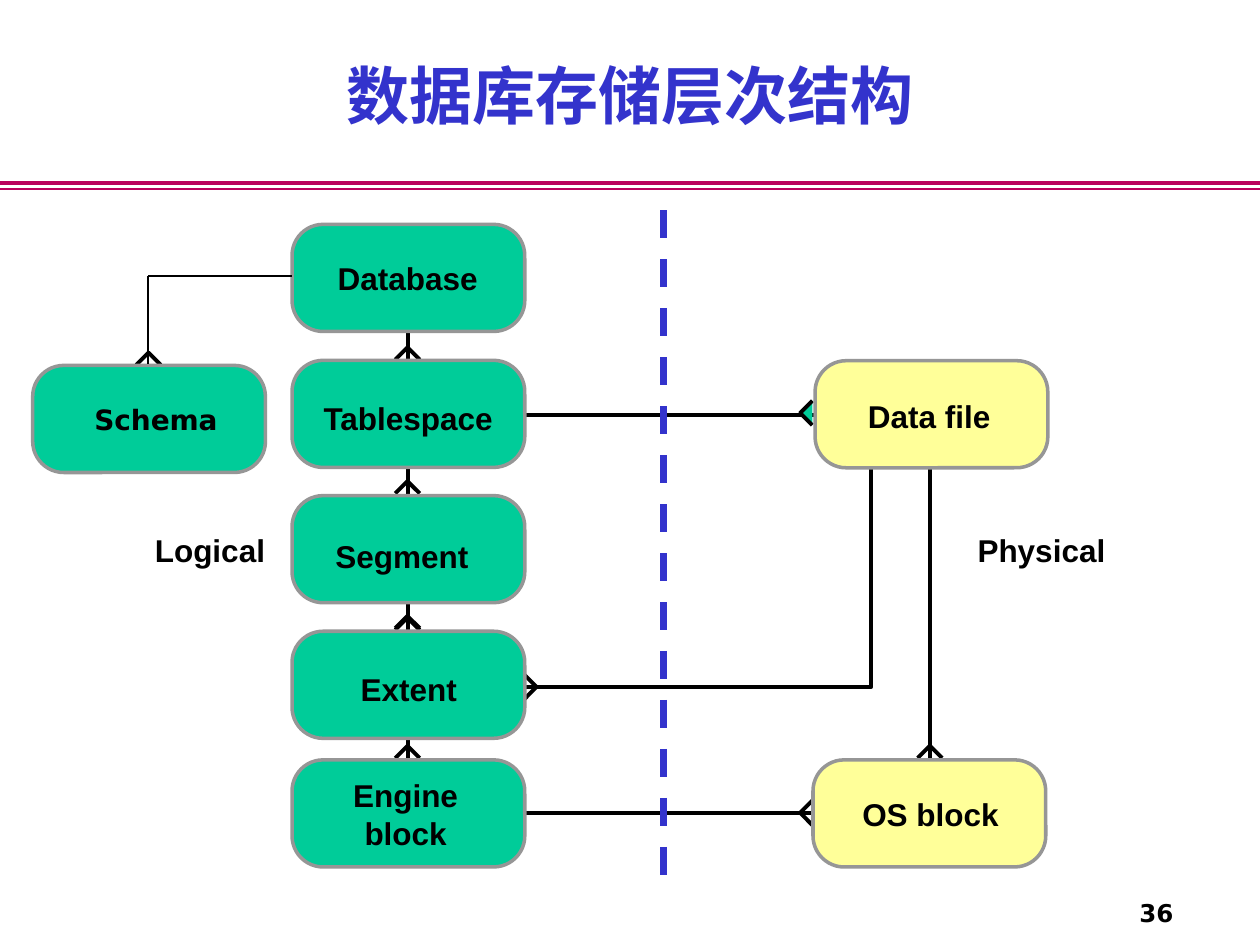
"""Build a slide on the logical and physical layers of database storage."""
from dataclasses import dataclass
from typing import Optional

from lxml import etree
from pptx import Presentation
from pptx.dml.color import RGBColor
from pptx.enum.dml import MSO_LINE
from pptx.enum.shapes import MSO_CONNECTOR, MSO_SHAPE
from pptx.enum.text import MSO_ANCHOR, PP_ALIGN
from pptx.oxml.ns import qn
from pptx.util import Pt

STRAIGHT = MSO_CONNECTOR.STRAIGHT
ROUNDED = MSO_SHAPE.ROUNDED_RECTANGLE
DASH = MSO_LINE.DASH
TOP, MIDDLE = MSO_ANCHOR.TOP, MSO_ANCHOR.MIDDLE
LEFT, CENTER, RIGHT = PP_ALIGN.LEFT, PP_ALIGN.CENTER, PP_ALIGN.RIGHT


@dataclass(frozen=True)
class Theme:
    """Colours, fonts, type sizes and line widths."""
    ink: str = "000000"
    accent: str = "3333CC"
    rule: str = "BA005D"
    logical: str = "00CC99"
    physical: str = "FFFF99"
    border: str = "969696"
    title_font: str = "Times New Roman"
    label_font: str = "Arial"
    plain_font: str = "DejaVu Sans"
    title_size: float = 36
    label_size: float = 18
    schema_size: float = 16
    number_size: float = 14
    link_width: float = 2.25
    border_width: float = 2


THEME = Theme()
NODE_WIDTH, NODE_HEIGHT, NODE_ROUNDING = 133, 61.2, 0.29
FOOT = 7
LOGICAL_LEFT, LOGICAL_AXIS = 166.9, 232.9
SCHEMA_AXIS, BLOCK_AXIS, DATA_FILE_DROP = 84.6, 531.4, 497.8


@dataclass(frozen=True)
class Node:
    """A rounded box for one storage layer."""
    left: float
    top: float
    fill: str


@dataclass(frozen=True)
class Label:
    """A text box with its frame and look."""
    text: str
    left: float
    top: float
    width: float
    height: float = 28.8
    align: PP_ALIGN = CENTER
    anchor: MSO_ANCHOR = TOP
    font: str = THEME.label_font
    size: float = THEME.label_size
    line_spacing: float = 1.0


@dataclass(frozen=True)
class Link:
    """A straight line between two points."""
    x1: float
    y1: float
    x2: float
    y2: float
    color: str = THEME.ink
    width: float = THEME.link_width
    dashed: bool = False


@dataclass(frozen=True)
class CrowFoot:
    """A 'many' mark that opens from its tip along (dx, dy)."""
    x: float
    y: float
    dx: int = 0
    dy: int = 1
    fill: Optional[str] = None


RULES = [Link(0, 104.4, 720, 104.4, THEME.rule),
         Link(0, 108, 720, 108, THEME.rule, 1)]
LINKS = [Link(293, 464.5, 519, 464.5),
         Link(293, 236.9, 519, 236.9),
         Link(BLOCK_AXIS, 229, BLOCK_AXIS, 437),
         Link(LOGICAL_AXIS, 176.4, LOGICAL_AXIS, 453.6)]
BOUNDARY = Link(379.4, 120.2, 379.4, 502.6, THEME.accent, 4, True)
SCHEMA_LINKS = [Link(SCHEMA_AXIS, 208, SCHEMA_AXIS, 157.7, width=1),
                Link(SCHEMA_AXIS, 157.7, LOGICAL_LEFT, 157.7, width=1)]
EXTENT_ROUTE = [(299.5, 392.6), (DATA_FILE_DROP, 392.6), (DATA_FILE_DROP, 249.8)]
FEET = [CrowFoot(LOGICAL_AXIS, tip) for tip in (198.5, 275, 352, 353, 426.2)]
FEET += [CrowFoot(SCHEMA_AXIS + 0.3, 201.5),
         CrowFoot(BLOCK_AXIS, 426.2),
         CrowFoot(306.6, 392.6, -1, 0),
         CrowFoot(457.2, 236, 1, 0, THEME.logical),
         CrowFoot(457.2, 464.5, 1, 0)]
NODES = [Node(LOGICAL_LEFT, top, THEME.logical)
         for top in (128.2, 205.9, 283.2, 360.7, 434.2)]
NODES += [Node(465.8, 206.1, THEME.physical),
          Node(464.6, 434.2, THEME.physical)]
SCHEMA = Node(18.7, 208.8, THEME.logical)
LABELS = [
    Label("Database", 185.8, 144.7, 94.3),
    Label("Tablespace", 177.1, 224.6, 112.3),
    Label("Segment", 184.3, 303.1, 90.7),
    Label("Extent", 198.7, 379.4, 69.8),
    Label("Engine\vblock", 186.8, 439.9, 90, 50.4),
    Label("Data file", 488.9, 223.2, 84.2),
    Label("OS block", 485.3, 450.7, 92.9),
    Label("Logical", 81.4, 303.1, 77.8, 25.9, LEFT, line_spacing=0.85),
    Label("Physical", 551.5, 303.1, 87.8, 25.9, LEFT, line_spacing=0.85),
    Label("36", 635.8, 509.8, 41.8, 23.8, RIGHT, MIDDLE,
          THEME.plain_font, THEME.number_size),
]


def rgb(color: str) -> RGBColor:
    """Turn a hex string into a colour."""
    return RGBColor.from_string(color)


def write(frame, text: str, font: str, size: float, color: str, align: PP_ALIGN) -> None:
    """Set bold text of one look in a text frame."""
    frame.text = text
    for paragraph in frame.paragraphs:
        paragraph.alignment = align
        for run in paragraph.runs:
            run.font.name, run.font.size, run.font.bold = font, Pt(size), True
            run.font.color.rgb = rgb(color)


def paint(shape, fill: Optional[str], line: str, width: float) -> None:
    """Give a shape its fill and line, without a shadow."""
    shape.shadow.inherit = False
    if fill:
        shape.fill.solid()
        shape.fill.fore_color.rgb = rgb(fill)
    else:
        shape.fill.background()
    shape.line.color.rgb, shape.line.width = rgb(line), Pt(width)


def draw_link(shapes, link: Link) -> None:
    """Draw a straight line."""
    connector = shapes.add_connector(
        STRAIGHT, Pt(link.x1), Pt(link.y1), Pt(link.x2), Pt(link.y2))
    connector.line.color.rgb = rgb(link.color)
    connector.line.width = Pt(link.width)
    if link.dashed:
        connector.line.dash_style = DASH
    etree.SubElement(connector._element.spPr, qn("a:effectLst"))


def draw_route(shapes, points: list[tuple[float, float]], fill: Optional[str] = None) -> None:
    """Draw an open line through the points."""
    start, *rest = [(Pt(x), Pt(y)) for x, y in points]
    builder = shapes.build_freeform(*start)
    builder.add_line_segments(rest, close=False)
    paint(builder.convert_to_shape(), fill, THEME.ink, THEME.link_width)


def draw_foot(shapes, foot: CrowFoot) -> None:
    """Draw a crow's foot."""
    base_x, base_y = foot.x + FOOT * foot.dx, foot.y + FOOT * foot.dy
    side_x, side_y = FOOT * foot.dy, FOOT * foot.dx
    draw_route(shapes, [(base_x - side_x, base_y - side_y), (foot.x, foot.y),
                        (base_x + side_x, base_y + side_y)], foot.fill)


def draw_node(shapes, node: Node):
    """Draw a rounded box and return it."""
    box = shapes.add_shape(
        ROUNDED, Pt(node.left), Pt(node.top), Pt(NODE_WIDTH), Pt(NODE_HEIGHT))
    box.adjustments[0] = NODE_ROUNDING
    paint(box, node.fill, THEME.border, THEME.border_width)
    return box


def draw_label(shapes, label: Label) -> None:
    """Draw a text box."""
    frame = shapes.add_textbox(
        Pt(label.left), Pt(label.top), Pt(label.width), Pt(label.height)).text_frame
    frame.word_wrap, frame.vertical_anchor = False, label.anchor
    write(frame, label.text, label.font, label.size, THEME.ink, label.align)
    frame.paragraphs[0].line_spacing = label.line_spacing


def main() -> None:
    """Build and save the slide."""
    deck = Presentation()
    deck.slide_width, deck.slide_height = Pt(720), Pt(540)
    shapes = deck.slides.add_slide(deck.slide_layouts[5]).shapes

    title = shapes.title
    title.left, title.top, title.width, title.height = Pt(54), Pt(28.8), Pt(612), Pt(63.4)
    title.text_frame.vertical_anchor = TOP
    write(title.text_frame, "数据库存储层次结构", THEME.title_font,
          THEME.title_size, THEME.accent, CENTER)

    for link in RULES + LINKS:
        draw_link(shapes, link)
    draw_route(shapes, EXTENT_ROUTE)
    for foot in FEET:
        draw_foot(shapes, foot)
    draw_link(shapes, BOUNDARY)
    for node in NODES:
        draw_node(shapes, node)
    for label in LABELS:
        draw_label(shapes, label)

    schema = draw_node(shapes, SCHEMA).text_frame
    schema.word_wrap, schema.vertical_anchor = False, MIDDLE
    schema.margin_left = Pt(30)
    write(schema, "Schema", THEME.plain_font, THEME.schema_size, THEME.ink, LEFT)
    for link in SCHEMA_LINKS:
        draw_link(shapes, link)

    deck.save("out.pptx")


if __name__ == "__main__":
    main()
